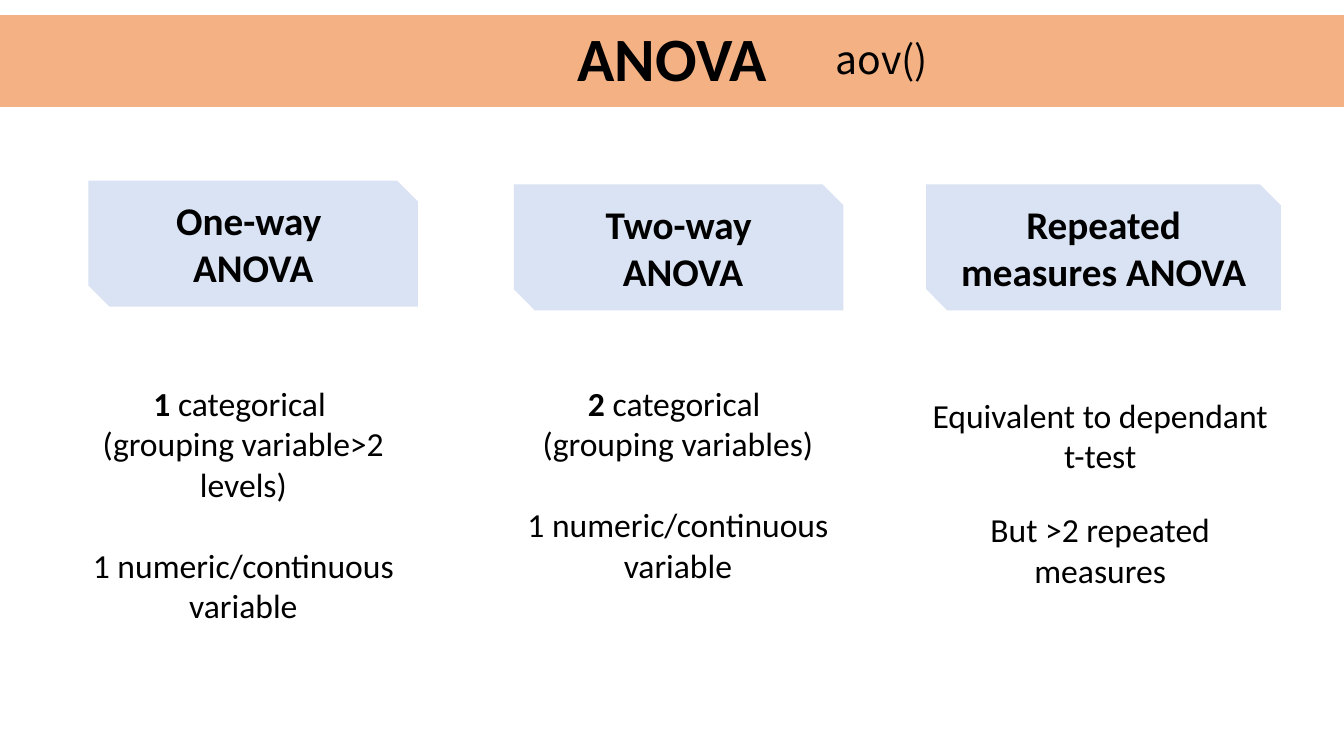
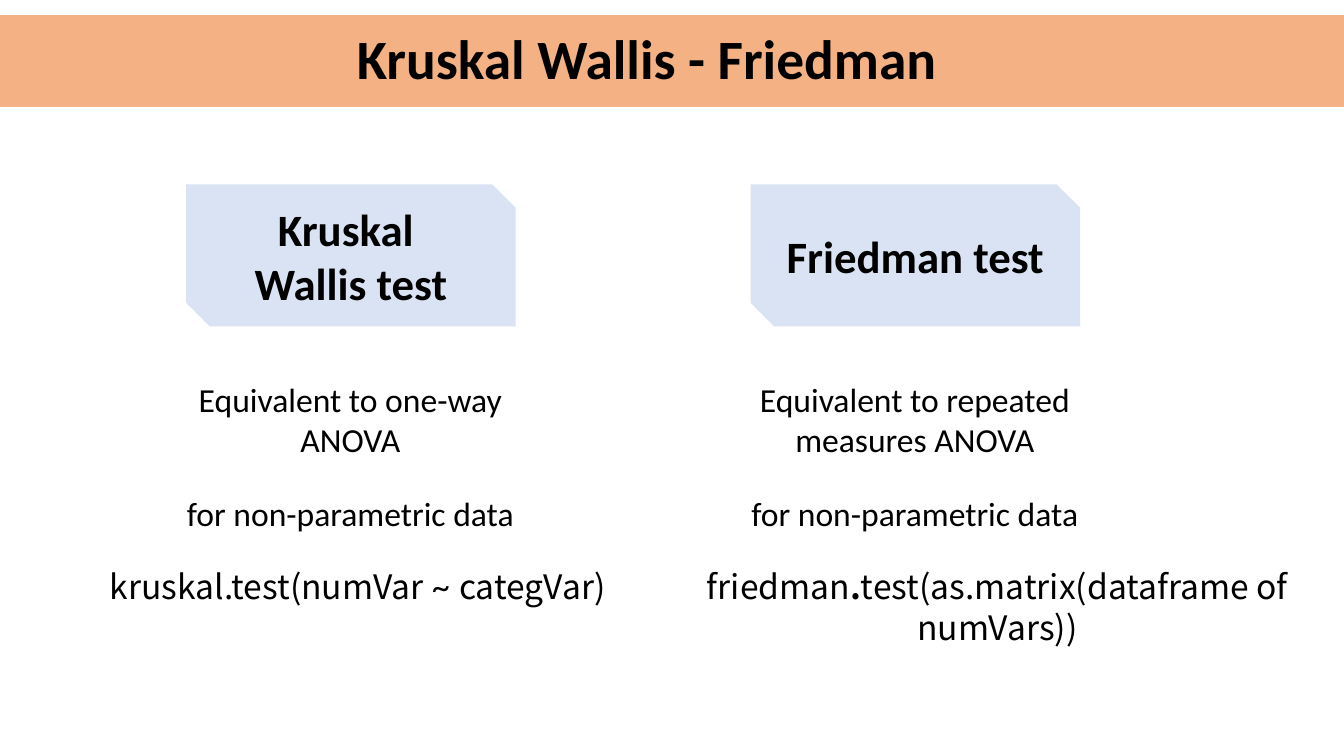
"""Build two slides that compare ANOVA with its non-parametric relatives."""
from dataclasses import dataclass
from typing import NamedTuple

from pptx import Presentation
from pptx.dml.color import RGBColor
from pptx.enum.shapes import MSO_SHAPE as Form
from pptx.enum.text import MSO_ANCHOR as Anchor, MSO_AUTO_SIZE as Fit, PP_ALIGN as Align
from pptx.util import Pt

WIDE, HIGH = 960, 540
BAND, CARD, INK = "F4B183", "DAE3F3", "000000"
TEXT, CODE, TILDE = "Calibri", "Noto Sans CJK SC", "Lato"
CARD_W, NOTE_W = 235.4, 265.7


class Run(NamedTuple):
    """A piece of text with its own weight and face."""
    text: str
    bold: bool = False
    face: str = TEXT


class Para(NamedTuple):
    """A paragraph and the space above it."""
    runs: list[Run]
    gap: float = 0


class Rect(NamedTuple):
    """A place on the slide, in points."""
    x: float
    y: float
    w: float
    h: float


@dataclass
class Block:
    """A text box, or a card when it has a fill."""
    rect: Rect
    paras: list[Para]
    size: float = 24
    align: Align = Align.CENTER
    fill: str = ""


@dataclass
class Page:
    """A slide with its title and blocks."""
    title: str
    rect: Rect
    size: float
    lead: float
    blocks: list[Block]


def hue(code: str) -> RGBColor:
    """Turn a hex string into a colour."""
    return RGBColor.from_string(code)


def style(item, **values) -> None:
    """Set each given attribute on an item."""
    for name, value in values.items():
        setattr(item, name, value)


def place(shape, rect: Rect) -> None:
    """Move a shape to its place."""
    spots = dict(zip(("left", "top", "width", "height"), map(Pt, rect)))
    style(shape, **spots)


def paint(shape, code: str) -> None:
    """Give a shape a flat fill with no line or shadow."""
    shape.shadow.inherit = False
    shape.fill.solid()
    shape.fill.fore_color.rgb = hue(code)
    shape.line.fill.background()


def write(frame, paras: list[Para], size: float, align: Align, lead: float = 1) -> None:
    """Fill a text frame with paragraphs."""
    for i, para in enumerate(paras):
        line = frame.paragraphs[0] if i == 0 else frame.add_paragraph()
        style(line, alignment=align, line_spacing=lead, space_before=Pt(para.gap))
        for run in para.runs:
            part = line.add_run()
            part.text = run.text
            style(part.font, name=run.face, size=Pt(size), bold=run.bold)
            part.font.color.rgb = hue(INK)


def draw(slide, block: Block) -> None:
    """Add one block to a slide."""
    spots = map(Pt, block.rect)
    if block.fill:
        shape = slide.shapes.add_shape(Form.SNIP_2_DIAG_RECTANGLE, *spots)
        paint(shape, block.fill)
    else:
        shape = slide.shapes.add_textbox(*spots)
    frame = shape.text_frame
    style(frame, word_wrap=True, auto_size=Fit.NONE,
          vertical_anchor=Anchor.MIDDLE if block.fill else Anchor.TOP)
    write(frame, block.paras, block.size, block.align)


def card(rect: Rect, size: float, *lines: str) -> Block:
    """Make a heading card."""
    return Block(rect, [Para([Run(line, True)]) for line in lines], size, fill=CARD)


def note(x: float, y: float, h: float, *paras: Para) -> Block:
    """Make a description under a card."""
    return Block(Rect(x, y, NOTE_W, h), list(paras))


def factor(x: float, h: float, count: str, group: str) -> Block:
    """Make a note that lists the variables of a test."""
    return note(x, 270, h, Para([Run(count, True), Run(" categorical ")]),
                Para([Run(group)]), Para([Run("1 numeric/continuous variable")], 29))


def match(x: float, y: float, first: str, last: str) -> Block:
    """Make a note that names the equivalent test."""
    return note(x, y, 140, Para([Run("Equivalent to " + first)]), Para([Run(last)], 24))


def code(rect: Rect, size: float, align: Align, *runs: Run) -> Block:
    """Make a line of code."""
    return Block(rect, [Para(list(runs))], size, align)


def build(deck, layout, page: Page) -> None:
    """Add a page to the deck."""
    slide = deck.slides.add_slide(layout)
    title = slide.shapes.title
    place(title, page.rect)
    style(title.text_frame, word_wrap=True, auto_size=Fit.NONE, vertical_anchor=Anchor.MIDDLE)
    write(title.text_frame, [Para([Run(page.title, True)])], page.size, Align.CENTER, page.lead)
    for block in page.blocks:
        draw(slide, block)


def share(slide, layout) -> None:
    """Draw the title band and move it to the shared layout."""
    band = slide.shapes.add_shape(Form.RECTANGLE, *map(Pt, (0, 10.8, WIDE, 65.5)))
    paint(band, BAND)
    layout.shapes._spTree.insert(2, band._element)


TESTS = "for non-parametric data"
PAGES = [
    Page("ANOVA", Rect(174.2, 13, 612, 62), 44, 0.9, [
        card(Rect(63.2, 129, CARD_W, 90), 28, "One-way ", "ANOVA"),
        card(Rect(367, 131.6, CARD_W, 90), 28, "Two-way", " ANOVA"),
        card(Rect(661.6, 131.6, 253.4, 90), 28, "Repeated measures ANOVA"),
        factor(41, 181, "1", "(grouping variable>2 levels)"),
        factor(351.4, 153, "2", "(grouping variables)"),
        match(653, 278.6, "dependant t-test", "But >2 repeated measures"),
        code(Rect(589.7, 21.6, 100, 41), 28, Align.LEFT, Run("aov()", face=CODE)),
    ]),
    Page("Kruskal Wallis - Friedman", Rect(48, 21.6, 828, 47), 39.6, 0.8, [
        card(Rect(133, 131.6, CARD_W, 101.5), 32, "Kruskal ", "Wallis test"),
        card(Rect(536.2, 131.6, CARD_W, 101.5), 32, "Friedman test"),
        match(117.4, 267, "one-way ANOVA", TESTS),
        match(520.6, 267, "repeated measures ANOVA", TESTS),
        code(Rect(71.3, 401, 390, 36), 24, Align.LEFT, Run("kruskal.test(numVar ", face=CODE),
             Run("~ ", face=TILDE), Run("categVar)", face=CODE)),
        code(Rect(482.4, 401, 460, 88), 24, Align.CENTER, Run("friedman", face=CODE),
             Run(".", True, CODE), Run("test(as.matrix(dataframe of numVars))", face=CODE)),
    ]),
]


def main() -> None:
    """Build and save the deck."""
    deck = Presentation()
    style(deck, slide_width=Pt(WIDE), slide_height=Pt(HIGH))
    layout = deck.slide_layouts[5]
    for page in PAGES:
        build(deck, layout, page)
    share(deck.slides[0], layout)
    deck.save("out.pptx")


if __name__ == "__main__":
    main()
